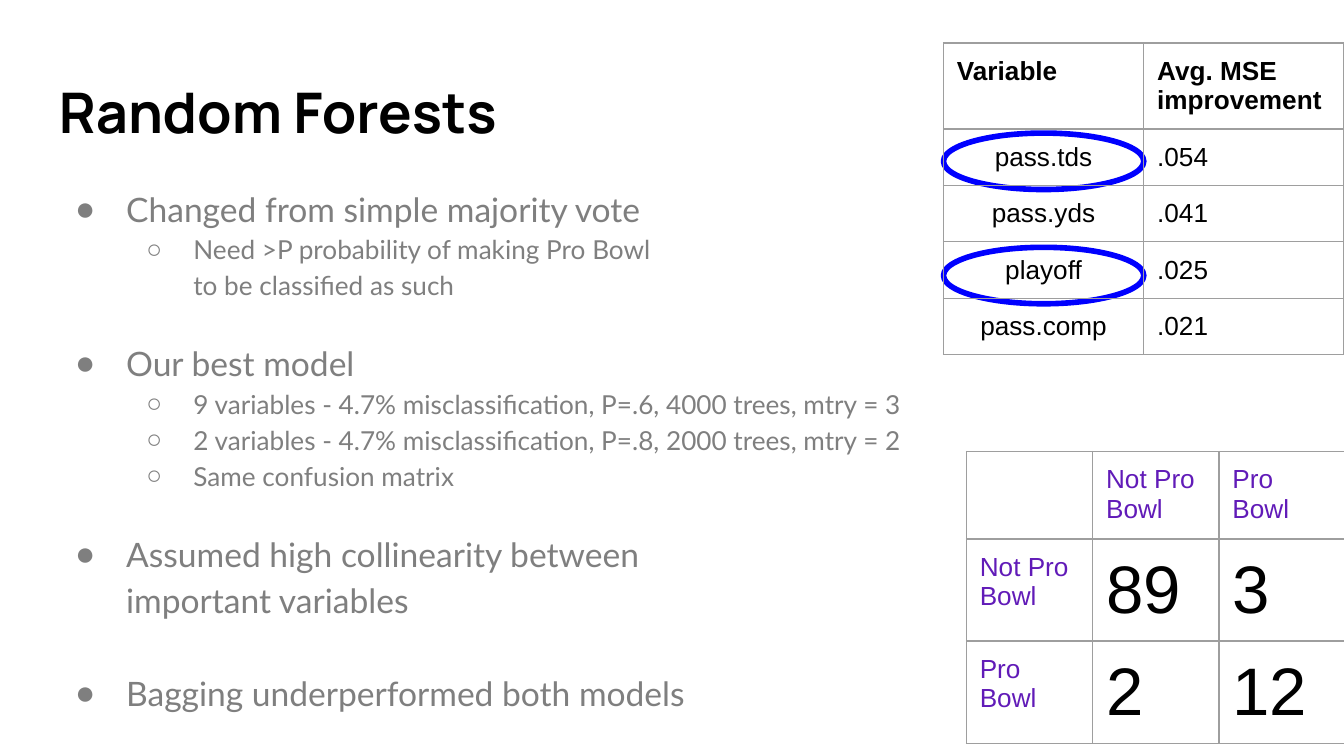
from lxml.etree import SubElement
from pptx import Presentation
from pptx.dml.color import RGBColor
from pptx.enum.shapes import MSO_SHAPE
from pptx.enum.text import MSO_ANCHOR, PP_ALIGN
from pptx.oxml.ns import qn
from pptx.util import Inches, Pt

BLACK, GREY, PURPLE, BLUE, RULE = "000000", "7F7F7F", "611BB8", "0000FF", "9E9E9E"


def style(para, font, size, color, bold=False):
    for run in para.runs:
        run.font.name = font
        run.font.size = Pt(size)
        run.font.bold = bold
        run.font.color.rgb = RGBColor.from_string(color)


def add_grid(left, top, widths, heights, rows):
    """Add a plain ruled table; each cell is (text, size, color, bold, align)."""
    frame = slide.shapes.add_table(
        len(heights), len(widths), Inches(left), Inches(top),
        Inches(sum(widths)), Inches(sum(heights)))
    table = frame.table
    table.first_row = table.horz_banding = False
    for col, width in zip(table.columns, widths):
        col.width = Inches(width)
    for row, height, cells in zip(table.rows, heights, rows):
        row.height = Inches(height)
        for cell, (text, size, color, bold, align) in zip(row.cells, cells):
            cell.margin_left = cell.margin_right = Inches(0.1)
            # A slim bottom margin lets the row height rule
            cell.margin_top, cell.margin_bottom = Inches(0.1), Inches(0.05)
            para = cell.text_frame.paragraphs[0]
            para.text = text
            para.alignment = align
            para.line_spacing = 1.0
            style(para, "Arial", size, color, bold)
            props = cell._tc.get_or_add_tcPr()
            for side in ("lnL", "lnR", "lnT", "lnB"):
                line = SubElement(props, qn("a:" + side), w=str(Pt(0.75)))
                fill = SubElement(line, qn("a:solidFill"))
                SubElement(fill, qn("a:srgbClr"), val=RULE)
            cell.fill.background()


# A 16:9 slide
deck = Presentation()
deck.slide_width = Inches(10)
deck.slide_height = Inches(10 * 9 / 16)
slide = deck.slides.add_slide(deck.slide_layouts[6])

# Rings behind the two key variables
for top in (1.84, 0.99):
    ring = slide.shapes.add_shape(
        MSO_SHAPE.OVAL, Inches(7.02), Inches(top), Inches(1.49), Inches(0.42))
    ring.shadow.inherit = False
    ring.fill.background()
    ring.line.color.rgb = RGBColor.from_string(BLUE)
    ring.line.width = Pt(3)

# Title and body boxes
frames = []
for top, height in ((0.49, 0.68), (1.26, 3.74)):
    box = slide.shapes.add_textbox(
        Inches(0.34), Inches(top), Inches(9.32), Inches(height))
    frame = box.text_frame
    frame.word_wrap = True
    frame.margin_left = frame.margin_right = Inches(0.1)
    frame.margin_top = frame.margin_bottom = Inches(0.1)
    frames.append(frame)
title, body = frames

title.vertical_anchor = MSO_ANCHOR.MIDDLE
title.text = "Random Forests"
style(title.paragraphs[0], "Manrope", 30, BLACK, True)

# Bullets: level, text, points of space after
points = [
    (0, "Changed from simple majority vote", 0),
    (1, "Need >P probability of making Pro Bowl\nto be classified as such", 19.3),
    (0, "Our best model", 0),
    (1, "9 variables - 4.7% misclassification, P=.6, 4000 trees, mtry = 3", 0),
    (1, "2 variables - 4.7% misclassification, P=.8, 2000 trees, mtry = 2", 0),
    (1, "Same confusion matrix", 19.3),
    (0, "Assumed high collinearity between\nimportant variables", 24.8),
    (0, "Bagging underperformed both models", 0),
]
levels = [(18, 0.5, -0.38, "●"), (14, 1, -0.35, "○")]
for i, (level, text, gap) in enumerate(points):
    size, left, hang, mark = levels[level]
    para = body.add_paragraph() if i else body.paragraphs[0]
    para.text = text
    para.level = level
    para.line_spacing = 1.15
    para.space_after = Pt(gap)
    style(para, "Lato", size, GREY)
    props = para._p.get_or_add_pPr()
    props.set("marL", str(Inches(left)))
    props.set("indent", str(Inches(hang)))
    tint = SubElement(props, qn("a:buClr"))
    SubElement(tint, qn("a:srgbClr"), val=GREY)
    SubElement(props, qn("a:buFont"), typeface="Arial")
    SubElement(props, qn("a:buChar"), char=mark)

# Variable importance table
scores = [("pass.tds", ".054"), ("pass.yds", ".041"),
          ("playoff", ".025"), ("pass.comp", ".021")]
rows = [[(text, 14, BLACK, True, PP_ALIGN.LEFT)
         for text in ("Variable", "Avg. MSE improvement")]]
for name, score in scores:
    rows.append([(name, 14, BLACK, False, PP_ALIGN.CENTER),
                 (score, 14, BLACK, False, PP_ALIGN.LEFT)])
add_grid(7.02, 0.32, [1.49] * 2, [0.64] + [0.42] * 4, rows)

# Confusion matrix
matrix = [("", "Not Pro Bowl", "Pro Bowl"),
          ("Not Pro Bowl", "89", "3"),
          ("Pro Bowl", "2", "12")]
rows = []
for texts in matrix:
    rows.append([(text, 36, BLACK, False, PP_ALIGN.LEFT) if text.isdigit()
                 else (text, 14, PURPLE, False, PP_ALIGN.LEFT)
                 for text in texts])
add_grid(7.19, 3.36, [0.94] * 3, [0.65, 0.76, 0.76], rows)

deck.save("out.pptx")
